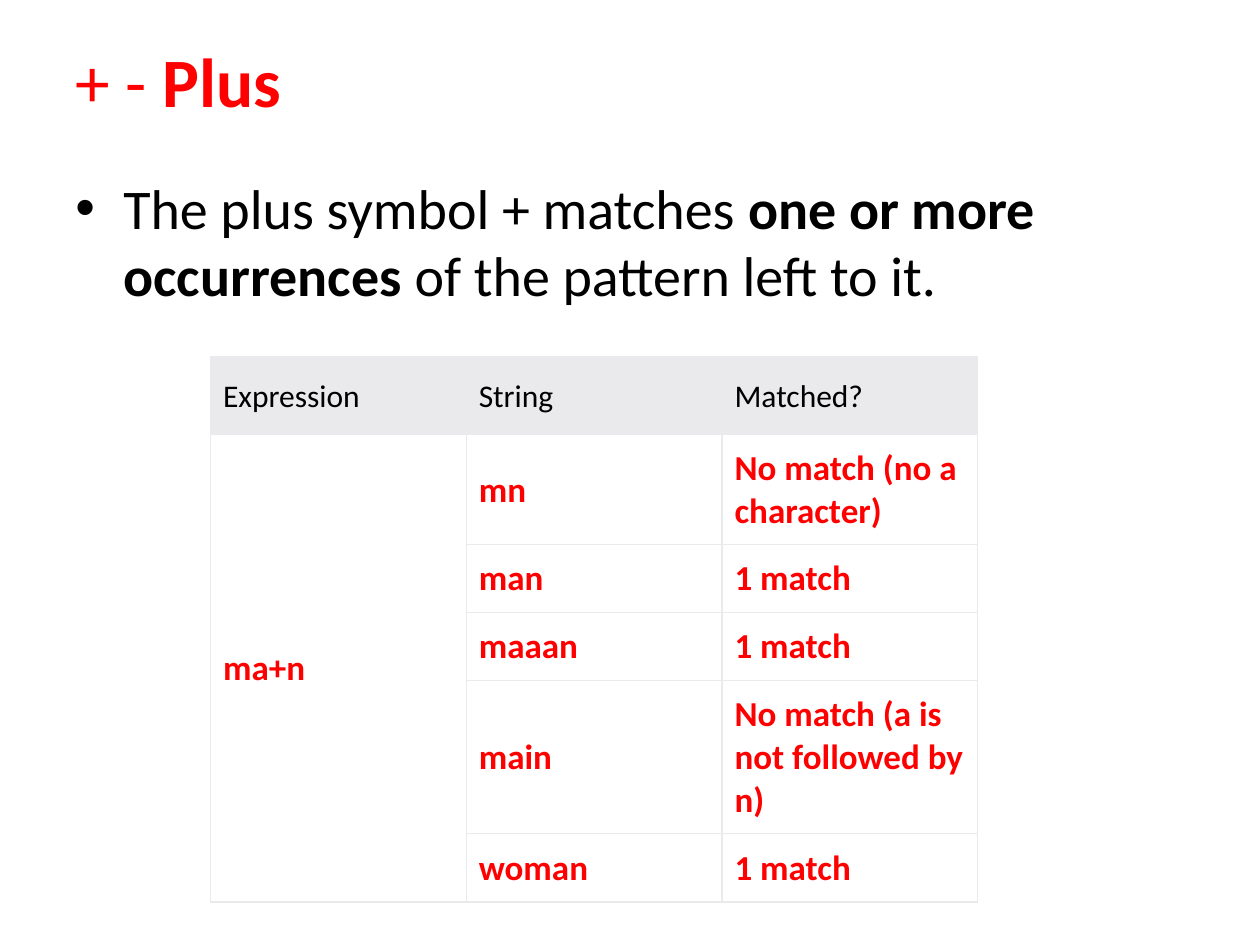
"""Build a slide explaining the plus symbol in regular expressions."""
from lxml.etree import SubElement
from pptx import Presentation
from pptx.dml.color import RGBColor
from pptx.enum.text import MSO_ANCHOR as Anchor
from pptx.oxml.ns import qn
from pptx.util import Inches, Pt

FONT = "Calibri"
RED = RGBColor(0xFF, 0x00, 0x00)
BLACK = RGBColor(0x00, 0x00, 0x00)
WHITE = RGBColor(0xFF, 0xFF, 0xFF)
GRAY = RGBColor(0xEA, 0xEA, 0xEC)

TITLE = [("+ - ", False), ("Plus", True)]
BODY = [
    ("The plus symbol + matches ", False),
    ("one or more occurrences", True),
    (" of the pattern left to it.", False),
]
ROWS = [
    ("Expression", "String", "Matched?"),
    ("ma+n", "mn", "No match (no a character)"),
    ("", "man", "1 match"),
    ("", "maaan", "1 match"),
    ("", "main", "No match (a is not followed by n)"),
    ("", "woman", "1 match"),
]
ROW_HEIGHTS = [0.62, 0.87, 0.54, 0.54, 1.22, 0.54]
COL_WIDTH = 2.03


def style(r, size, color, bold):
    r.font.name = FONT
    r.font.size = Pt(size)
    r.font.color.rgb = color
    r.font.bold = bold


def add_text(s, box, runs, size, color):
    tf = s.shapes.add_textbox(*map(Inches, box)).text_frame
    tf.word_wrap = True
    tf.vertical_anchor = Anchor.TOP
    p = tf.paragraphs[0]
    for text, bold in runs:
        r = p.add_run()
        r.text = text
        style(r, size, color, bold)
    return tf


def add_bullet(p, indent):
    pPr = p._p.get_or_add_pPr()
    pPr.set("marL", str(Inches(indent)))
    pPr.set("indent", str(-Inches(indent)))
    SubElement(pPr, qn("a:buFont"), typeface="Arial")
    SubElement(pPr, qn("a:buChar"), char="•")


def add_borders(cell, color, width):
    tcPr = cell._tc.get_or_add_tcPr()
    for i, side in enumerate(("lnL", "lnR", "lnT", "lnB")):
        ln = tcPr.makeelement(qn(f"a:{side}"), {"w": str(Pt(width))})
        fill = SubElement(ln, qn("a:solidFill"))
        SubElement(fill, qn("a:srgbClr"), val=str(color))
        tcPr.insert(i, ln)


def fill_cell(cell, text, header):
    cell.text = text
    cell.vertical_anchor = Anchor.MIDDLE
    cell.margin_left, cell.margin_right = Inches(0.1), Inches(0.08)
    cell.margin_top = Inches(0.16 if header else 0.1)
    cell.margin_bottom = Inches(0.15 if header else 0.09)
    cell.fill.solid()
    cell.fill.fore_color.rgb = GRAY if header else WHITE
    for r in cell.text_frame.paragraphs[0].runs:
        style(r, 18 if header else 20, BLACK if header else RED, not header)
    add_borders(cell, GRAY, 0.75)


def add_matches(s):
    n_rows, n_cols = len(ROWS), len(ROWS[0])
    table = s.shapes.add_table(
        n_rows, n_cols, Inches(1.67), Inches(2.83),
        Inches(COL_WIDTH * n_cols), Inches(sum(ROW_HEIGHTS))).table
    for col in table.columns:
        col.width = Inches(COL_WIDTH)
    for i, (texts, height) in enumerate(zip(ROWS, ROW_HEIGHTS)):
        table.rows[i].height = Inches(height)
        for j, text in enumerate(texts):
            fill_cell(table.cell(i, j), text, i == 0)
    table.cell(1, 0).merge(table.cell(n_rows - 1, 0))


def main():
    prs = Presentation()
    prs.slide_width, prs.slide_height = Inches(10), Inches(7.5)
    s = prs.slides.add_slide(prs.slide_layouts[6])
    title = add_text(s, (0.5, 0.3, 9, 1.25), TITLE, 39.6, RED)
    title.margin_top = 0
    body = add_text(s, (0.5, 1.33, 8.92, 1.58), BODY, 32, BLACK)
    add_bullet(body.paragraphs[0], 0.38)
    add_matches(s)
    prs.save("out.pptx")


if __name__ == "__main__":
    main()
